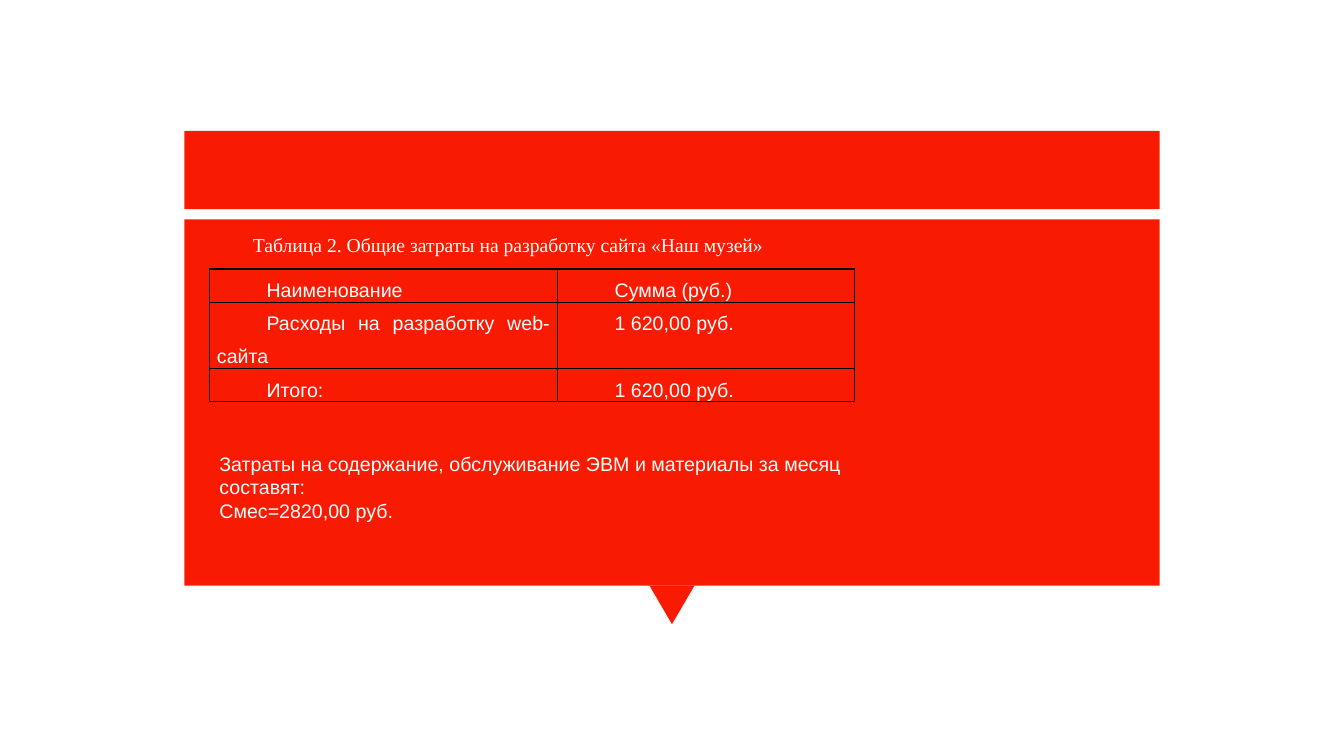
from lxml.etree import SubElement
from pptx import Presentation
from pptx.dml.color import RGBColor
from pptx.enum.shapes import MSO_SHAPE
from pptx.enum.text import MSO_ANCHOR, MSO_AUTO_SIZE, PP_ALIGN
from pptx.oxml.ns import qn
from pptx.util import Pt

COLOURS = {"panel": "F81B02", "text": "FFFFFF", "border": "000000"}
CAPTION = "Таблица 2. Общие затраты на разработку сайта «Наш музей»"
COSTS = [
    ("Наименование", "Сумма (руб.)"),
    ("Расходы на разработку web-сайта", "1 620,00 руб."),
    ("Итого:", "1 620,00 руб."),
]
MONTHLY_COSTS = [
    "Затраты на содержание, обслуживание ЭВМ и материалы за месяц составят:",
    "Смес=2820,00 руб.",
]
PANEL_LEFT, PANEL_WIDTH = 131.75, 696.5
POINTER_WIDTH, POINTER_HEIGHT = 32.2, 27.6
TITLE_TOP, TITLE_HEIGHT = 93.5, 56
BODY_TOP, BODY_HEIGHT = 156.75, 261.5
TABLE_LEFT, TABLE_TOP = 149.6, 192.2
COLUMN_WIDTHS = [248.6, 212.2]
LINE_HEIGHT = 23.6
ROW_LINES = [1, 2, 1]
FIRST_LINE_INDENT = 35.4


def add_panel(slide, kind, left, top, width, height, rotation=0):
    shape = slide.shapes.add_shape(kind, Pt(left), Pt(top), Pt(width), Pt(height))
    shape.rotation = rotation
    shape.shadow.inherit = False
    shape.fill.solid()
    shape.fill.fore_color.rgb = RGBColor.from_string(COLOURS["panel"])
    shape.line.fill.background()


def style_paragraph(paragraph, text, font_name="Arial", indent=0):
    paragraph.text = text
    paragraph.font.name = font_name
    paragraph.font.size = Pt(14)
    paragraph.font.color.rgb = RGBColor.from_string(COLOURS["text"])
    if indent:
        paragraph.alignment = PP_ALIGN.JUSTIFY
        paragraph._p.get_or_add_pPr().set("indent", str(Pt(indent)))


def add_borders(cell):
    properties = cell._tc.get_or_add_tcPr()
    for side in ("a:lnL", "a:lnR", "a:lnT", "a:lnB"):
        line = SubElement(properties, qn(side), w=str(Pt(1)))
        fill = SubElement(line, qn("a:solidFill"))
        SubElement(fill, qn("a:srgbClr"), val=COLOURS["border"])


def add_cost_table(slide):
    frame = slide.shapes.add_table(
        len(COSTS), len(COLUMN_WIDTHS), Pt(TABLE_LEFT), Pt(TABLE_TOP),
        Pt(sum(COLUMN_WIDTHS)), Pt(LINE_HEIGHT * sum(ROW_LINES)))
    table = frame.table
    table.first_row = table.horz_banding = False
    for column, width in zip(table.columns, COLUMN_WIDTHS):
        column.width = Pt(width)
    for row_index, (row, lines) in enumerate(zip(table.rows, ROW_LINES)):
        row.height = Pt(LINE_HEIGHT * lines)
        for cell, text in zip(row.cells, COSTS[row_index]):
            cell.margin_left = cell.margin_right = Pt(5.4)
            cell.margin_top = cell.margin_bottom = 0
            cell.vertical_anchor = MSO_ANCHOR.TOP if row_index else MSO_ANCHOR.MIDDLE
            paragraph = cell.text_frame.paragraphs[0]
            style_paragraph(paragraph, text, indent=FIRST_LINE_INDENT)
            paragraph.line_spacing = 1.5
            add_borders(cell)
            cell.fill.background()


def add_text(slide, left, top, width, height, wrap):
    frame = slide.shapes.add_textbox(Pt(left), Pt(top), Pt(width), Pt(height)).text_frame
    frame.word_wrap = wrap
    frame.auto_size = MSO_AUTO_SIZE.SHAPE_TO_FIT_TEXT
    return frame


def main():
    """Build the slide with the cost table and save it."""
    presentation = Presentation()
    presentation.slide_width, presentation.slide_height = Pt(960), Pt(540)
    slide = presentation.slides.add_slide(presentation.slide_layouts[6])
    add_panel(slide, MSO_SHAPE.RECTANGLE, PANEL_LEFT, TITLE_TOP, PANEL_WIDTH, TITLE_HEIGHT)
    add_panel(slide, MSO_SHAPE.ISOSCELES_TRIANGLE,
              PANEL_LEFT + (PANEL_WIDTH - POINTER_WIDTH) / 2, BODY_TOP + BODY_HEIGHT,
              POINTER_WIDTH, POINTER_HEIGHT, rotation=180)
    add_panel(slide, MSO_SHAPE.RECTANGLE, PANEL_LEFT, BODY_TOP, PANEL_WIDTH, BODY_HEIGHT)
    add_cost_table(slide)
    caption = add_text(slide, 138.2, 162.9, 419, 24.2, wrap=False)
    caption.vertical_anchor = MSO_ANCHOR.MIDDLE
    style_paragraph(caption.paragraphs[0], CAPTION, "Times New Roman", FIRST_LINE_INDENT)
    monthly = add_text(slide, TABLE_LEFT, 319, 480, 58.2, wrap=True)
    for index, text in enumerate(MONTHLY_COSTS):
        paragraph = monthly.add_paragraph() if index else monthly.paragraphs[0]
        style_paragraph(paragraph, text)
    presentation.save("out.pptx")


if __name__ == "__main__":
    main()
